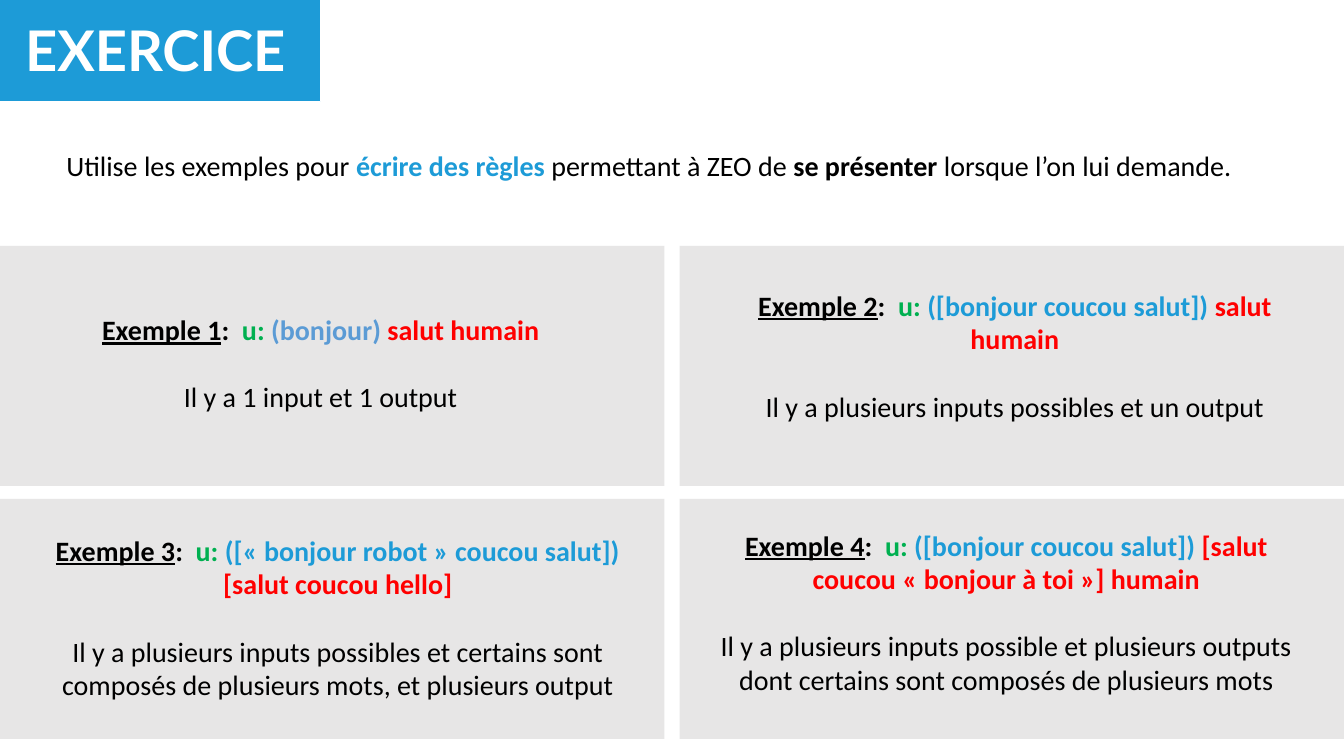
import pptx
import pptx.util
import pptx.dml.color
import pptx.enum.shapes
import pptx.enum.text

Inches = pptx.util.Inches
Pt = pptx.util.Pt
ALIGN = pptx.enum.text.PP_ALIGN


class Deck:
    """Holds the style and the current slide, and draws each kind of element."""

    hues = {"blue": "1D9BD7", "sky": "5B9BD5", "green": "00B050", "red": "FF0000",
            "gray": "E7E6E6", "black": "000000", "white": "FFFFFF"}
    face = "Calibri"
    head = "Lato"
    size = 20

    def __init__(self):
        self.show = pptx.Presentation()
        self.show.slide_width = Inches(13.33)
        self.show.slide_height = Inches(7.5)
        self.slide = self.show.slides.add_slide(self.show.slide_layouts[5])

    def hue(self, name):
        return pptx.dml.color.RGBColor.from_string(self.hues[name])

    def rect(self, shapes, area, fill, line=None):
        kind = pptx.enum.shapes.MSO_SHAPE.RECTANGLE
        shape = shapes.add_shape(kind, *map(Inches, area))
        shape.shadow.inherit = False
        shape.fill.solid()
        shape.fill.fore_color.rgb = self.hue(fill)
        if line:
            shape.line.color.rgb = self.hue(line)
            shape.line.width = Pt(1)
        else:
            shape.line.fill.background()
        return shape

    def style(self, para, align, size, face, color="black", bold=False):
        para.alignment = align
        font = para.font
        font.size, font.name, font.bold = Pt(size), face, bold
        font.color.rgb = self.hue(color)

    def runs(self, para, parts):
        for text, color, marks in parts:
            run = para.add_run()
            run.text = text
            if color != "black":
                run.font.color.rgb = self.hue(color)
            if "b" in marks:
                run.font.bold = True
            if "u" in marks:
                run.font.underline = True

    def text(self, shapes, area):
        frame = shapes.add_textbox(*map(Inches, area)).text_frame
        frame.word_wrap = True
        return frame

    def title(self, text, area, band):
        title = self.slide.shapes.title
        title.left, title.top, title.width, title.height = map(Inches, area)
        frame = title.text_frame
        frame.text = text
        frame.vertical_anchor = pptx.enum.text.MSO_ANCHOR.TOP
        frame.auto_size = pptx.enum.text.MSO_AUTO_SIZE.NONE
        self.style(frame.paragraphs[0], ALIGN.LEFT, 40, self.head, "white", True)
        back = self.rect(self.slide.shapes, band, "blue", "white")
        title.element.addprevious(back.element)

    def intro(self, parts, area):
        para = self.text(self.slide.shapes, area).paragraphs[0]
        self.style(para, ALIGN.LEFT, self.size, self.face)
        self.runs(para, parts)

    def card(self, area, box, name, rule, tint, reply, note):
        shapes = self.slide.shapes.add_group_shape().shapes
        self.rect(shapes, area, "gray")
        frame = self.text(shapes, box)
        top = frame.paragraphs[0]
        self.style(top, ALIGN.CENTER, self.size, self.face, bold=True)
        self.runs(top, [(name, "black", "u"), (":  ", "black", ""),
                        ("u: ", "green", ""), (rule + " ", tint, ""),
                        (reply, "red", "")])
        low = frame.add_paragraph()
        low.text = note
        low.space_before = Pt(24)
        self.style(low, ALIGN.CENTER, self.size, self.face)


CARDS = [
    ((0.77, 3.05, 4.82, 1.11), "(bonjour)", "sky", "salut humain",
     "Il y a 1 input et 1 output"),
    ((7.02, 2.81, 6.09, 1.45), "([bonjour coucou salut])", "blue", "salut humain",
     "Il y a plusieurs inputs possibles et un output"),
    ((0.11, 5.24, 6.48, 1.78), "([« bonjour robot » coucou salut])", "blue",
     "[salut coucou hello]",
     "Il y a plusieurs inputs possibles et certains sont composés de plusieurs "
     "mots, et plusieurs output"),
    ((7.02, 5.19, 5.92, 1.78), "([bonjour coucou salut])", "blue",
     "[salut coucou « bonjour à toi »] humain",
     "Il y a plusieurs inputs possible et plusieurs outputs dont certains sont "
     "composés de plusieurs mots"),
]


def main():
    deck = Deck()
    deck.title("EXERCICE", (0.15, 0.1, 11.79, 0.77), (-0.16, -0.21, 3.34, 1.22))
    deck.intro([("Utilise les exemples pour ", "black", ""),
                ("écrire des règles ", "blue", "b"),
                ("permettant à ZEO de ", "black", ""),
                ("se présenter ", "black", "b"),
                ("lorsque l’on lui demande.", "black", "")],
               (0.56, 1.42, 13.07, 0.44))
    for i, (box, *words) in enumerate(CARDS):
        row, col = divmod(i, 2)
        area = (col * 6.74, 2.44 + row * 2.51, 6.59, 2.38)
        deck.card(area, box, f"Exemple {i + 1}", *words)
    deck.show.save("out.pptx")


if __name__ == "__main__":
    main()
